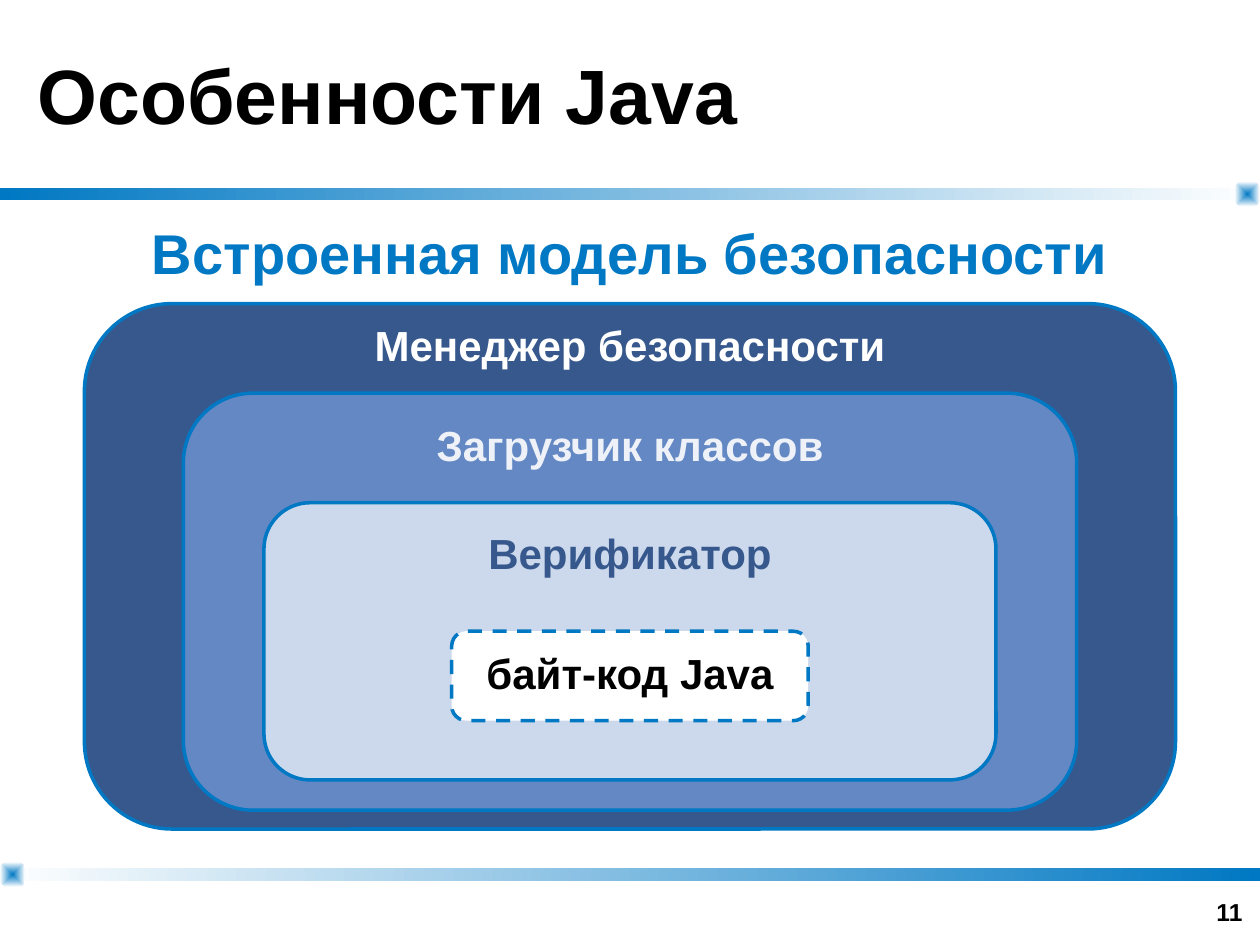
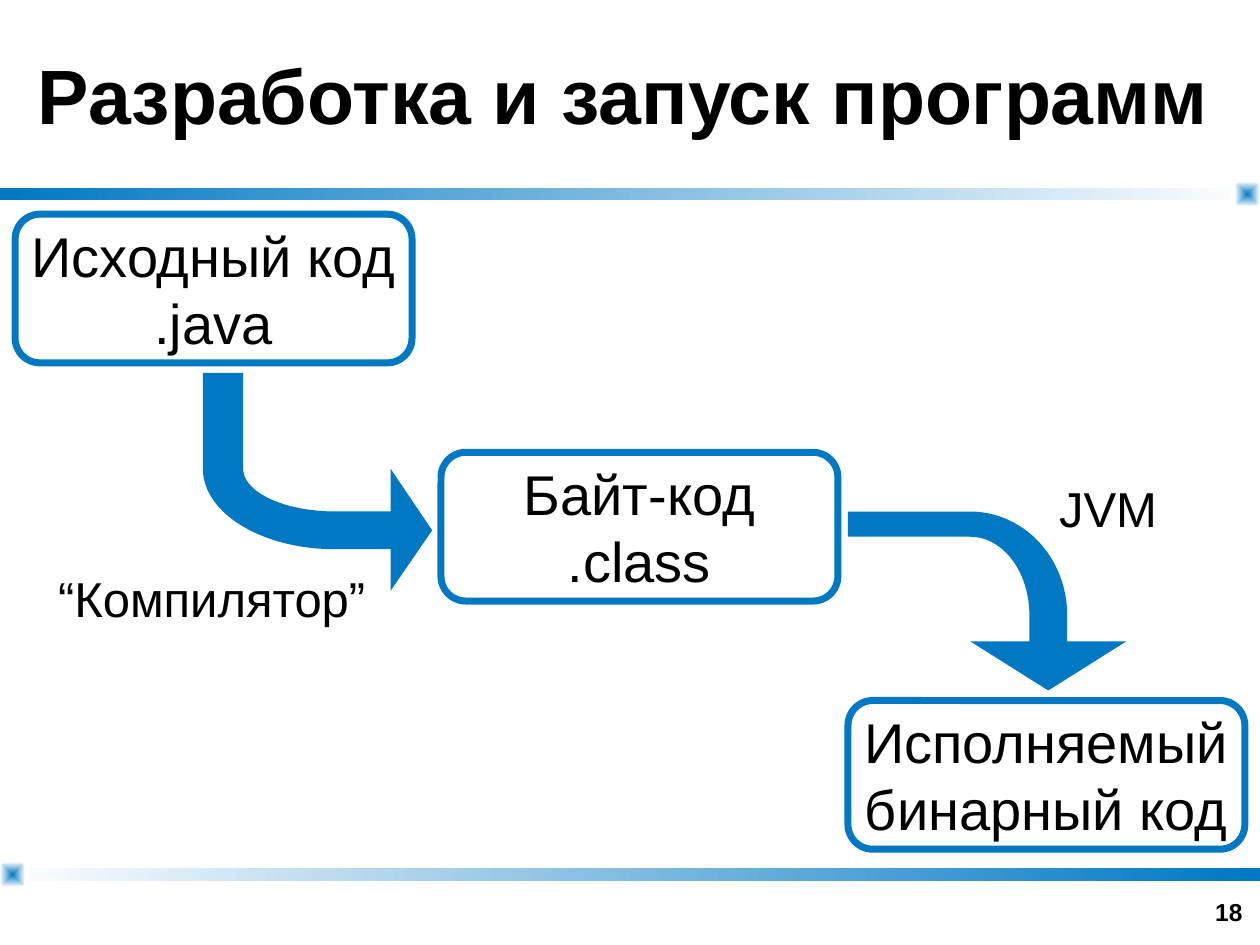
from dataclasses import dataclass
from math import cos, pi, sin

from lxml.etree import SubElement
from pptx import Presentation
from pptx.dml.color import RGBColor
from pptx.enum.dml import MSO_LINE
from pptx.enum.shapes import MSO_SHAPE
from pptx.enum.text import MSO_ANCHOR, MSO_AUTO_SIZE, PP_ALIGN
from pptx.oxml.ns import qn
from pptx.presentation import Presentation as Deck
from pptx.shapes.autoshape import Shape
from pptx.slide import Slide
from pptx.text.text import TextFrame
from pptx.util import Inches, Pt

FONT = "Arial"
COLORS = {
    "accent": "0078C3",
    "white": "FFFFFF",
    "black": "000000",
    "navy": "37588D",
    "steel": "6388C3",
    "pale": "CCD8EB",
    "mist": "EEF2F8",
}
SLIDE_WIDTH = 10
BAND_HEIGHT = 0.1
CORNER_SIZE = 0.2
STEP_SIZE = (3.15, 1.18)

Point = tuple[float, float]


@dataclass(frozen=True)
class Box:
    left: float
    top: float
    width: float
    height: float

    def lengths(self) -> list[int]:
        return [Inches(v) for v in (self.left, self.top, self.width, self.height)]


@dataclass(frozen=True)
class TextStyle:
    size: float
    color: str = "black"
    bold: bool = False
    align: PP_ALIGN = PP_ALIGN.CENTER
    anchor: MSO_ANCHOR = MSO_ANCHOR.TOP
    wrap: bool = True
    spacing: float = 1.0


@dataclass(frozen=True)
class Band:
    top: float
    start: str
    end: str
    corner_left: float


@dataclass(frozen=True)
class SecurityLayer:
    label: str
    label_color: str
    label_top: float
    top: float
    width: float
    height: float
    fill: str
    dashed: bool = False


@dataclass(frozen=True)
class Step:
    lines: tuple[str, str]
    left: float
    top: float


TITLE = TextStyle(44, bold=True, align=PP_ALIGN.LEFT, anchor=MSO_ANCHOR.MIDDLE)
PAGE_NUMBER = TextStyle(14, bold=True, align=PP_ALIGN.RIGHT, anchor=MSO_ANCHOR.BOTTOM)
SUBTITLE = TextStyle(32, "accent", bold=True, spacing=0.8)
STEP_TEXT = TextStyle(32, anchor=MSO_ANCHOR.MIDDLE, wrap=False)
TOOL_TEXT = TextStyle(28, wrap=False)

BANDS = [
    Band(1.49, "accent", "white", SLIDE_WIDTH - CORNER_SIZE),
    Band(6.89, "white", "accent", 0),
]
SECURITY_LAYERS = [
    SecurityLayer("Менеджер безопасности", "white", 2.49, 2.41, 8.66, 4.17, "navy"),
    SecurityLayer("Загрузчик классов", "mist", 3.28, 3.12, 7.09, 3.31, "steel"),
    SecurityLayer("Верификатор", "navy", 4.14, 3.99, 5.81, 2.2, "pale"),
    SecurityLayer("байт-код Java", "black", 5.09, 5.01, 2.83, 0.71, "white", True),
]
STEPS = [
    Step(("Исходный код", ".java"), 0.12, 1.7),
    Step(("Байт-код", ".class"), 3.5, 3.59),
    Step(("Исполняемый", "бинарный код"), 6.73, 5.56),
]
TOOLS = {
    "“Компилятор”": Box(0.36, 4.46, 2.64, 0.57),
    "JVM": Box(8.31, 3.75, 0.97, 0.57),
}


def rgb(name: str) -> RGBColor:
    return RGBColor.from_string(COLORS[name])


def write_text(frame: TextFrame, lines: tuple[str, ...], style: TextStyle) -> None:
    frame.auto_size = MSO_AUTO_SIZE.NONE
    frame.word_wrap = style.wrap
    frame.vertical_anchor = style.anchor
    for index, line in enumerate(lines):
        paragraph = frame.add_paragraph() if index else frame.paragraphs[0]
        paragraph.alignment = style.align
        paragraph.line_spacing = style.spacing
        run = paragraph.add_run()
        run.text = line
        run.font.name = FONT
        run.font.size = Pt(style.size)
        run.font.bold = style.bold
        run.font.color.rgb = rgb(style.color)


def add_label(slide: Slide, box: Box, text: str, style: TextStyle) -> None:
    write_text(slide.shapes.add_textbox(*box.lengths()).text_frame, (text,), style)


def add_gradient(slide: Slide, kind: MSO_SHAPE, box: Box, start: str, end: str) -> Shape:
    shape = slide.shapes.add_shape(kind, *box.lengths())
    shape.shadow.inherit = False
    shape.line.fill.background()
    shape.fill.gradient()
    shape.fill.gradient_angle = 0
    for stop, color in zip(shape.fill.gradient_stops, (start, end)):
        stop.color.rgb = rgb(color)
    return shape


def make_radial(shape: Shape) -> None:
    """Turn a linear gradient into one that spreads from the centre."""
    gradient = shape._element.spPr.find(qn("a:gradFill"))
    gradient.remove(gradient.find(qn("a:lin")))
    spread = SubElement(gradient, qn("a:path"), {"path": "rect"})
    SubElement(spread, qn("a:fillToRect"), {side: "50000" for side in "ltrb"})


def add_bands_to_layout(slide: Slide) -> None:
    """Draw the bands and their corners, then hand them to the slide's layout."""
    bands = [
        add_gradient(slide, MSO_SHAPE.RECTANGLE,
                     Box(0, band.top, SLIDE_WIDTH, BAND_HEIGHT), band.start, band.end)
        for band in BANDS
    ]
    corners = []
    for band in BANDS:
        box = Box(band.corner_left, band.top - 0.05, CORNER_SIZE, CORNER_SIZE)
        corner = add_gradient(slide, MSO_SHAPE.ROUNDED_RECTANGLE, box, "accent", "white")
        corner.adjustments[0] = 0.32
        make_radial(corner)
        corners.append(corner)
    for shape in bands + corners:
        slide.slide_layout.shapes._spTree.append(shape._element)


def add_titled_slide(deck: Deck, title: str, number: int) -> Slide:
    slide = deck.slides.add_slide(deck.slide_layouts[5])
    heading = slide.shapes.title
    heading.left, heading.top, heading.width, heading.height = Box(0.2, 0, 9.6, 1.49).lengths()
    write_text(heading.text_frame, (title,), TITLE)
    add_label(slide, Box(7.63, 6.9, 2.33, 0.5), str(number), PAGE_NUMBER)
    return slide


def add_rounded_box(slide: Slide, box: Box, line_width: float, fill: str | None = None) -> Shape:
    shape = slide.shapes.add_shape(MSO_SHAPE.ROUNDED_RECTANGLE, *box.lengths())
    shape.shadow.inherit = False
    shape.line.color.rgb = rgb("accent")
    shape.line.width = Pt(line_width)
    if fill:
        shape.fill.solid()
        shape.fill.fore_color.rgb = rgb(fill)
    else:
        shape.fill.background()
    return shape


def add_security_layer(slide: Slide, layer: SecurityLayer) -> None:
    left = (SLIDE_WIDTH - layer.width) / 2
    frame = add_rounded_box(slide, Box(left, layer.top, layer.width, layer.height), 2, layer.fill)
    if layer.dashed:
        frame.line.dash_style = MSO_LINE.DASH
    add_label(slide, Box(left, layer.label_top, layer.width, 0.5), layer.label,
              TextStyle(24, layer.label_color, bold=True))


def add_step(slide: Slide, step: Step) -> None:
    box = add_rounded_box(slide, Box(step.left, step.top, *STEP_SIZE), 4)
    write_text(box.text_frame, step.lines, STEP_TEXT)


def quarter_arc(start: Point, corner: Point, end: Point, pieces: int = 24) -> list[Point]:
    """Points of a quarter ellipse that touches both sides of the corner."""
    center = [s + e - c for s, c, e in zip(start, corner, end)]
    angles = [pi / 2 * i / pieces for i in range(pieces + 1)]
    return [
        tuple(m + (s - m) * cos(a) + (e - m) * sin(a) for m, s, e in zip(center, start, end))
        for a in angles
    ]


def add_bent_arrow(slide: Slide, outline: list[Point]) -> None:
    tip, *others = [(Inches(x), Inches(y)) for x, y in outline]
    builder = slide.shapes.build_freeform(*tip)
    builder.add_line_segments(others, close=True)
    arrow = builder.convert_to_shape()
    arrow.shadow.inherit = False
    arrow.fill.solid()
    arrow.fill.fore_color.rgb = rgb("accent")
    arrow.line.fill.background()


COMPILE_ARROW = [
    (3.43, 4.21), (3.1, 4.69), (3.1, 4.36),
    *quarter_arc((2.66, 4.36), (1.61, 4.36), (1.61, 3.72)),
    (1.61, 2.96), (1.93, 2.96),
    *quarter_arc((1.93, 3.72), (1.93, 4.06), (2.66, 4.06)),
    (3.1, 4.06), (3.1, 3.72),
]
RUN_ARROW = [
    (8.32, 5.48), (8.94, 5.09), (8.47, 5.09),
    *quarter_arc((8.47, 4.88), (8.47, 4.06), (7.7, 4.06)),
    (6.73, 4.06), (6.73, 4.26),
    *quarter_arc((7.7, 4.26), (8.17, 4.26), (8.17, 4.88)),
    (8.17, 5.09), (7.7, 5.09),
]


def build_security_slide(deck: Deck) -> Slide:
    slide = add_titled_slide(deck, "Особенности Java", 11)
    add_label(slide, Box(0.2, 1.79, 9.6, 0.7), "Встроенная модель безопасности", SUBTITLE)
    for layer in SECURITY_LAYERS:
        add_security_layer(slide, layer)
    return slide


def build_workflow_slide(deck: Deck) -> None:
    slide = add_titled_slide(deck, "Разработка и запуск программ", 18)
    for outline in (COMPILE_ARROW, RUN_ARROW):
        add_bent_arrow(slide, outline)
    for tool, box in TOOLS.items():
        add_label(slide, box, tool, TOOL_TEXT)
    for step in STEPS:
        add_step(slide, step)


def main() -> None:
    deck = Presentation()
    deck.slide_width, deck.slide_height = Inches(SLIDE_WIDTH), Inches(7.5)
    security_slide = build_security_slide(deck)
    add_bands_to_layout(security_slide)
    build_workflow_slide(deck)
    deck.save("out.pptx")


if __name__ == "__main__":
    main()
